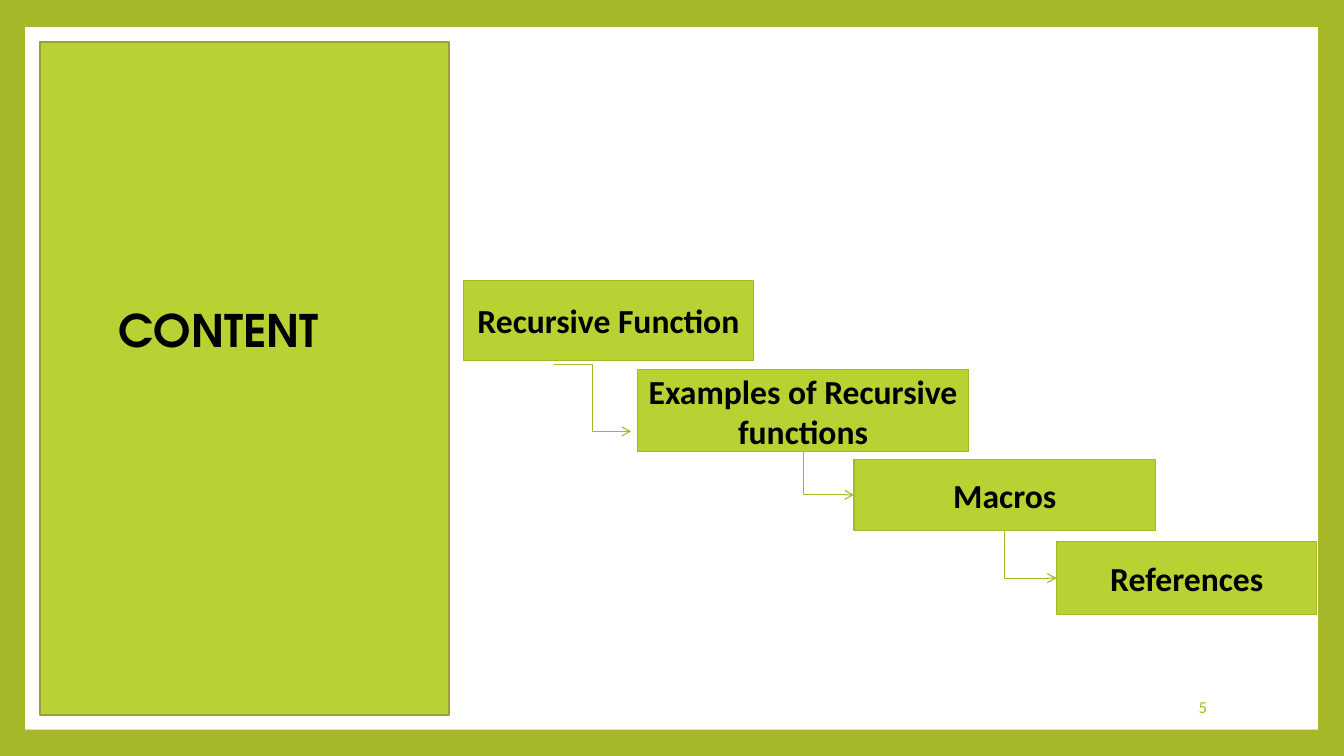
"""Builds the content slide: a title panel and a staircase of linked topics."""
import dataclasses

import lxml.etree
import pptx
import pptx.dml.color
import pptx.enum.shapes
import pptx.enum.text
import pptx.oxml.ns
import pptx.util

Inches = pptx.util.Inches
Align = pptx.enum.text.PP_ALIGN
Anchor = pptx.enum.text.MSO_ANCHOR
Connector = pptx.enum.shapes.MSO_CONNECTOR

COLORS = {
    "olive": "A6B727",
    "lime": "B8D233",
    "panel_edge": "9F9D35",
    "white": "FFFFFF",
    "black": "000000",
}
THIN = 0.79


@dataclasses.dataclass(frozen=True)
class Box:
    left: float
    top: float
    width: float
    height: float


@dataclasses.dataclass(frozen=True)
class Topic:
    label: str
    box: Box


@dataclasses.dataclass(frozen=True)
class TextStyle:
    size: float
    font: str = "Calibri"
    color: str = "black"
    bold: bool = True
    align: Align = Align.CENTER
    anchor: Anchor = Anchor.MIDDLE


TOPICS = [
    Topic("Recursive Function", Box(4.6, 2.78, 2.87, 0.8)),
    Topic("Examples of Recursive functions", Box(6.32, 3.67, 3.29, 0.81)),
    Topic("Macros", Box(8.47, 4.56, 2.99, 0.7)),
    Topic("References", Box(10.48, 5.37, 2.58, 0.73)),
]
TOPIC_STYLE = TextStyle(24)
TITLE_STYLE = TextStyle(32, "TeX Gyre Adventor", align=Align.LEFT, anchor=Anchor.TOP)
NUMBER_STYLE = TextStyle(12, color="olive", bold=False, align=Align.RIGHT)


def rgb(name: str) -> pptx.dml.color.RGBColor:
    return pptx.dml.color.RGBColor.from_string(COLORS[name])


def lengths(box: Box) -> list[int]:
    return [Inches(value) for value in dataclasses.astuple(box)]


def write_text(shape, text: str, style: TextStyle) -> None:
    frame = shape.text_frame
    frame.word_wrap = True
    frame.vertical_anchor = style.anchor
    para = frame.paragraphs[0]
    para.text = text
    para.alignment = style.align
    para.font.name = style.font
    para.font.size = pptx.util.Pt(style.size)
    para.font.bold = style.bold
    para.font.color.rgb = rgb(style.color)


def add_rectangle(page, box: Box, fill: str, edge: str = "", weight: float = THIN):
    shape = page.shapes.add_shape(
        pptx.enum.shapes.MSO_SHAPE.RECTANGLE, *lengths(box))
    shape.shadow.inherit = False
    shape.fill.solid()
    shape.fill.fore_color.rgb = rgb(fill)
    if edge:
        shape.line.color.rgb = rgb(edge)
        shape.line.width = pptx.util.Pt(weight)
    else:
        shape.line.fill.background()
    return shape


def add_text(page, box: Box, text: str, style: TextStyle) -> None:
    write_text(page.shapes.add_textbox(*lengths(box)), text, style)


def add_arrow(page, left: float, top: float, right: float, bottom: float):
    arrow = page.shapes.add_connector(
        Connector.ELBOW, Inches(left), Inches(top), Inches(right), Inches(bottom))
    arrow.line.color.rgb = rgb("olive")
    arrow.line.width = pptx.util.Pt(THIN)
    qn = pptx.oxml.ns.qn
    lxml.etree.SubElement(arrow.line._get_or_add_ln(), qn("a:tailEnd"), type="arrow")
    lxml.etree.SubElement(arrow._element.spPr, qn("a:effectLst"))
    return arrow


def add_corner_arrow(page, source: Box, target: Box) -> None:
    """Runs down from the source's bottom centre, then right to the target's side."""
    start_x = source.left + source.width / 2
    start_y = source.top + source.height
    run = target.left - start_x
    drop = target.top + target.height / 2 - start_y
    left = start_x + (run - drop) / 2
    top = start_y + (drop - run) / 2
    arrow = add_arrow(page, left, top, left + drop, top + run)
    properties = arrow._element.spPr
    properties.find(pptx.oxml.ns.qn("a:prstGeom")).set("prst", "bentConnector2")
    transform = properties.find(pptx.oxml.ns.qn("a:xfrm"))
    transform.set("rot", str(270 * 60000))
    transform.set("flipH", "1")


def main() -> None:
    deck = pptx.Presentation()
    deck.slide_width = Inches(13.33)
    deck.slide_height = Inches(7.5)
    page = deck.slides.add_slide(deck.slide_layouts[6])
    page.background.fill.solid()
    page.background.fill.fore_color.rgb = rgb("olive")

    add_rectangle(page, Box(0.25, 0.27, 12.82, 6.97), "white")
    add_rectangle(page, Box(0.4, 0.42, 4.05, 6.67), "lime", "panel_edge", 1.5)
    add_text(page, Box(1.08, 2.95, 3.52, 1.18), "CONTENT", TITLE_STYLE)

    for topic in TOPICS:
        shape = add_rectangle(page, topic.box, "lime", "olive")
        shape.text_frame.margin_left = shape.text_frame.margin_right = Inches(0.08)
        write_text(shape, topic.label, TOPIC_STYLE)

    add_arrow(page, 5.49, 3.62, 6.26, 4.28)
    for source, target in zip(TOPICS[1:], TOPICS[2:]):
        add_corner_arrow(page, source.box, target.box)

    add_text(page, Box(10.2, 6.81, 1.87, 0.4), "5", NUMBER_STYLE)
    deck.save("out.pptx")


if __name__ == "__main__":
    main()
